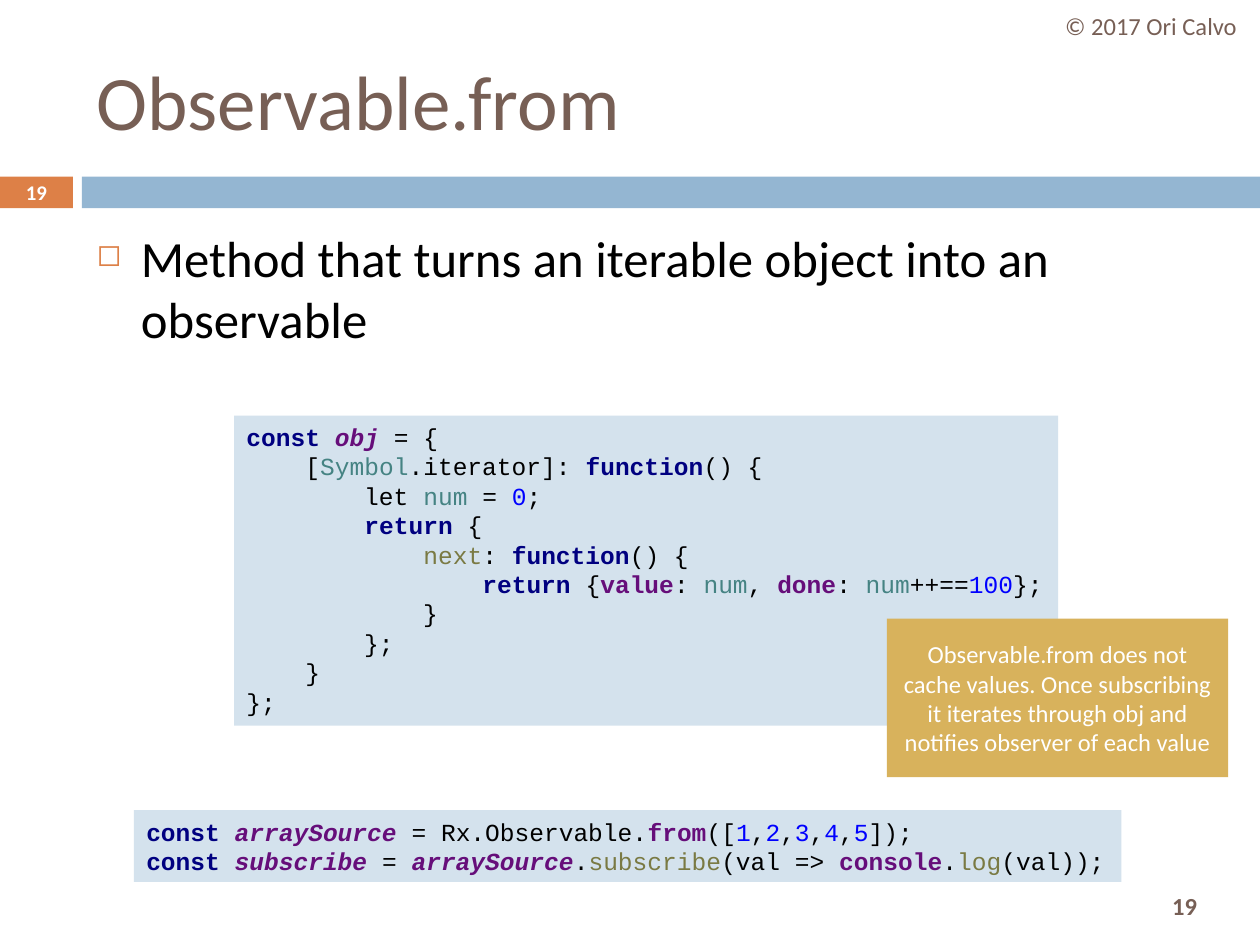
"""Build the Observable.from slide with its two code listings and a callout."""
from lxml import etree
from pptx import Presentation
from pptx.dml.color import RGBColor
from pptx.enum import shapes, text
from pptx.oxml.ns import qn
from pptx.util import Cm, Pt

BROWN = RGBColor(0x77, 0x5F, 0x55)
ORANGE = RGBColor(0xDD, 0x80, 0x47)
BLUE = RGBColor(0x94, 0xB6, 0xD2)
PALE_BLUE = RGBColor(0xD4, 0xE2, 0xED)
GOLD = RGBColor(0xD8, 0xB2, 0x5C)
WHITE = RGBColor(0xFF, 0xFF, 0xFF)
BLACK = RGBColor(0x00, 0x00, 0x00)
NAVY = RGBColor(0x00, 0x00, 0x80)
PURPLE = RGBColor(0x66, 0x0E, 0x7A)
TEAL = RGBColor(0x45, 0x83, 0x83)
NUMBER_BLUE = RGBColor(0x00, 0x00, 0xFF)
OLIVE = RGBColor(0x7A, 0x7A, 0x43)

LEFT, CENTER = text.PP_ALIGN.LEFT, text.PP_ALIGN.CENTER
TOP, MIDDLE = text.MSO_ANCHOR.TOP, text.MSO_ANCHOR.MIDDLE

# style: colour, bold, italic
STYLES = {
    "plain": (BLACK, False, False),
    "keyword": (NAVY, True, False),
    "constant": (PURPLE, True, True),
    "member": (PURPLE, True, False),
    "local": (TEAL, False, False),
    "number": (NUMBER_BLUE, False, False),
    "method": (OLIVE, False, False),
}

ARRAY_ITEMS = [("1", "number")]
for digit in "2345":
    ARRAY_ITEMS += [(",", "plain"), (digit, "number")]

SUBSCRIBE_CODE = [
    [("const ", "keyword"), ("arraySource ", "constant"), ("= Rx.Observable.", "plain"),
     ("from", "member"), ("([", "plain"), *ARRAY_ITEMS, ("]);", "plain")],
    [("const ", "keyword"), ("subscribe ", "constant"), ("= ", "plain"),
     ("arraySource", "constant"), (".", "plain"), ("subscribe", "method"),
     ("(val => ", "plain"), ("console", "member"), (".", "plain"),
     ("log", "method"), ("(val));", "plain")],
]
ITERATOR_CODE = [
    [("const ", "keyword"), ("obj ", "constant"), ("= {", "plain")],
    [("    [", "plain"), ("Symbol", "local"), (".iterator]: ", "plain"),
     ("function", "keyword"), ("() {", "plain")],
    [("        let ", "plain"), ("num ", "local"), ("= ", "plain"),
     ("0", "number"), (";", "plain")],
    [("        ", "plain"), ("return ", "keyword"), ("{", "plain")],
    [("            ", "plain"), ("next", "method"), (": ", "plain"),
     ("function", "keyword"), ("() {", "plain")],
    [("                ", "plain"), ("return ", "keyword"), ("{", "plain"),
     ("value", "member"), (": ", "plain"), ("num", "local"), (", ", "plain"),
     ("done", "member"), (": ", "plain"), ("num", "local"), ("++==", "plain"),
     ("100", "number"), ("};", "plain")],
    [("            }", "plain")],
    [("        };", "plain")],
    [("    }", "plain")],
    [("};", "plain")],
]

presentation = Presentation()
presentation.slide_width, presentation.slide_height = Cm(25.4), Cm(19.05)
slide = presentation.slides.add_slide(presentation.slide_layouts[6])


def add_rectangle(box, color):
    shape = slide.shapes.add_shape(shapes.MSO_SHAPE.RECTANGLE, *map(Cm, box))
    shape.shadow.inherit = False
    shape.fill.solid()
    shape.fill.fore_color.rgb = color
    shape.line.fill.background()
    return shape


def write_text(shape, wording, size, color, bold=False, align=CENTER, anchor=MIDDLE):
    frame = shape.text_frame
    frame.word_wrap = True
    frame.vertical_anchor = anchor
    frame.text = wording
    paragraph = frame.paragraphs[0]
    paragraph.alignment = align
    font = paragraph.runs[0].font
    font.name, font.size, font.bold = "Calibri", Pt(size), bold
    font.color.rgb = color
    return paragraph


add_rectangle((0, 3.56, 1.47, 0.64), ORANGE)
add_rectangle((1.65, 3.56, 23.75, 0.64), BLUE)

for box, wording, size, color, bold, align in [
    ((22.71, 17.73, 2.34, 1.07), "19", 14, BROWN, True, CENTER),
    ((1.7, 0.64, 22.66, 2.74), "Observable.from", 44, BROWN, False, LEFT),
    ((21.01, 0, 4.39, 1.02), "© 2017 Ori Calvo", 14, BROWN, False, CENTER),
    ((0, 3.53, 1.47, 0.69), "19", 11.9, WHITE, True, CENTER),
]:
    write_text(slide.shapes.add_textbox(*map(Cm, box)), wording, size, color, bold, align)

body = slide.shapes.add_textbox(Cm(1.7), Cm(4.45), Cm(22.66), Cm(2.87))
bullet_paragraph = write_text(
    body, "Method that turns an iterable object into an observable",
    29, BLACK, align=LEFT, anchor=TOP)
properties = bullet_paragraph._p.get_or_add_pPr()
properties.set("marL", str(Cm(0.89)))
properties.set("indent", str(-Cm(0.89)))
bullet_color = etree.SubElement(properties, qn("a:buClr"))
etree.SubElement(bullet_color, qn("a:srgbClr"), val=str(ORANGE))
etree.SubElement(properties, qn("a:buSzPct"), val="60000")
etree.SubElement(properties, qn("a:buChar"), char="◻")

for box, code_lines, wrap, anchor in [
    ((2.7, 16.33, 19.91, 1.45), SUBSCRIBE_CODE, False, MIDDLE),
    ((4.72, 8.38, 16.61, 6.25), ITERATOR_CODE, True, TOP),
]:
    frame = add_rectangle(box, PALE_BLUE).text_frame
    frame.word_wrap = wrap
    frame.auto_size = text.MSO_AUTO_SIZE.SHAPE_TO_FIT_TEXT
    frame.vertical_anchor = anchor
    paragraph = frame.paragraphs[0]
    paragraph.alignment = LEFT
    paragraph.font.size = Pt(14)
    for index, code_line in enumerate(code_lines):
        if index:
            paragraph.add_line_break()
        for wording, style in code_line:
            run = paragraph.add_run()
            run.text = wording
            run.font.name, run.font.size = "Courier New", Pt(14)
            run.font.color.rgb, run.font.bold, run.font.italic = STYLES[style]

write_text(
    add_rectangle((17.88, 12.47, 6.88, 3.2), GOLD),
    "Observable.from does not cache values. Once subscribing it iterates "
    "through obj and notifies observer of each value", 14, WHITE)

presentation.save("out.pptx")
